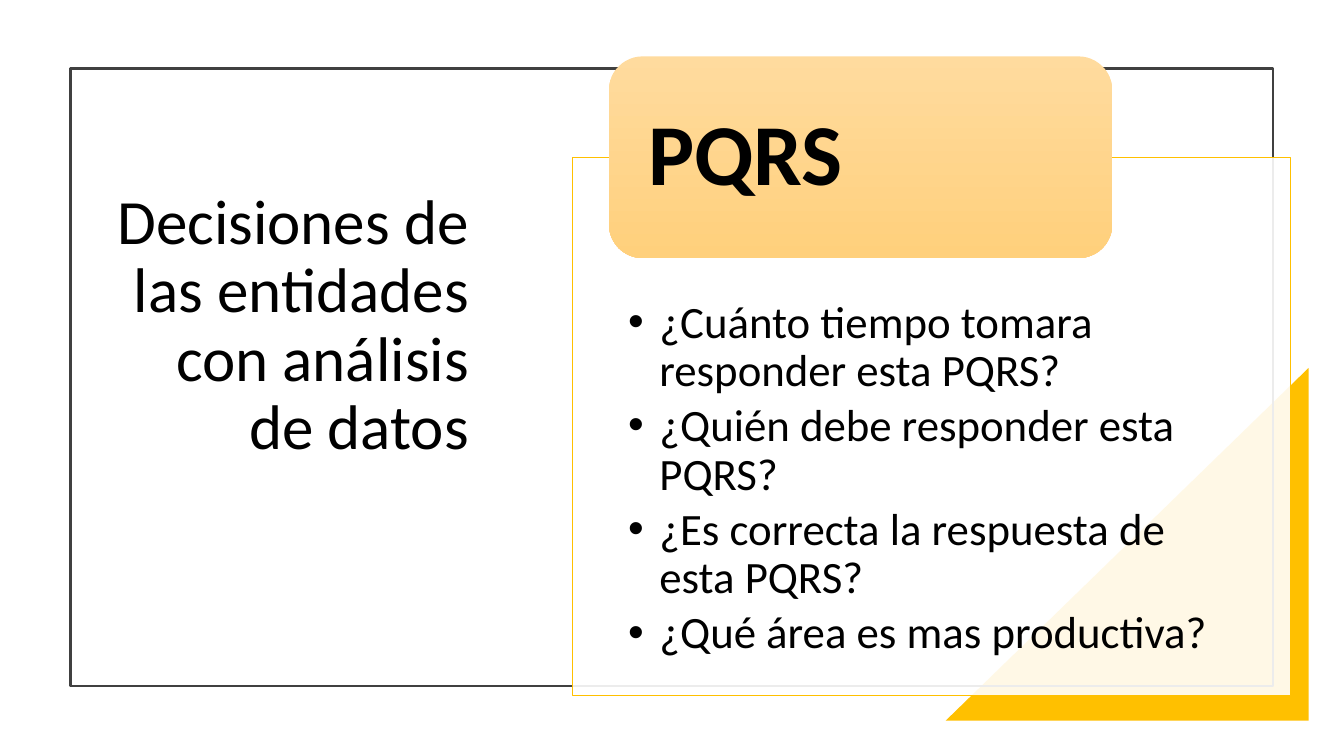
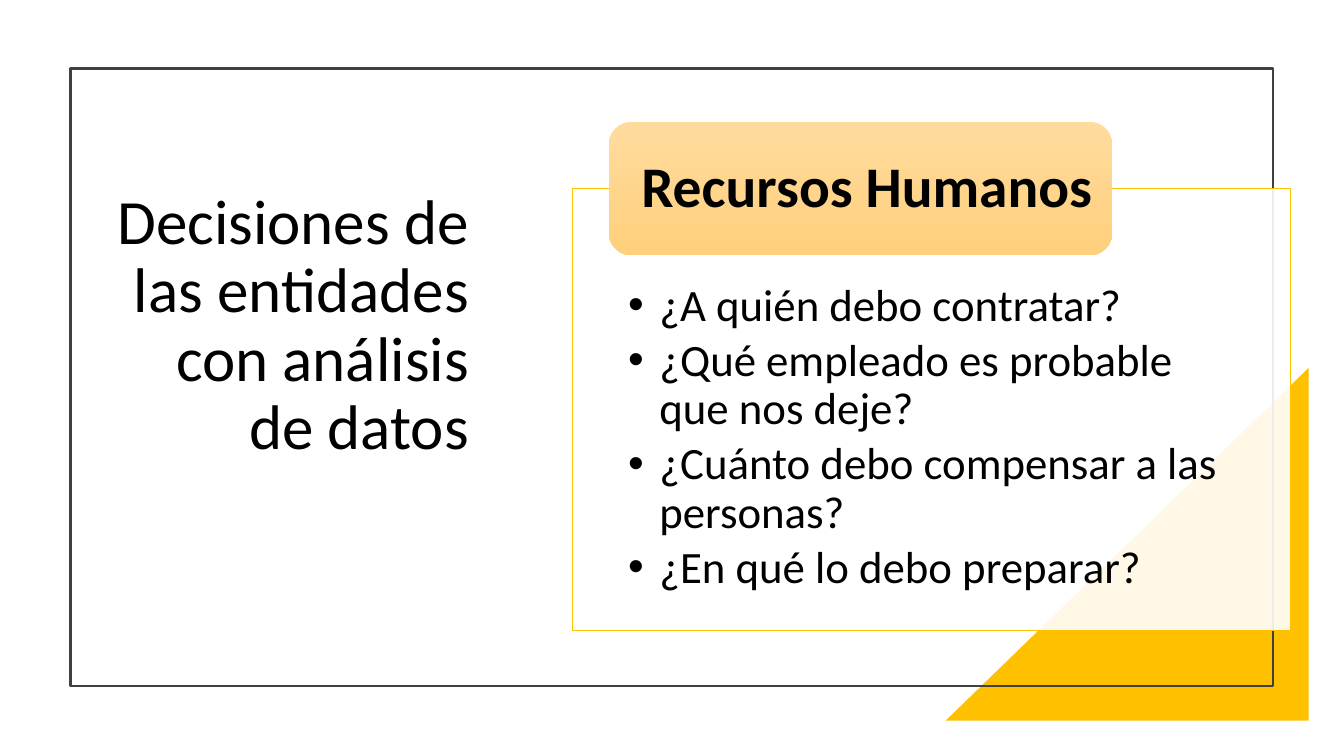
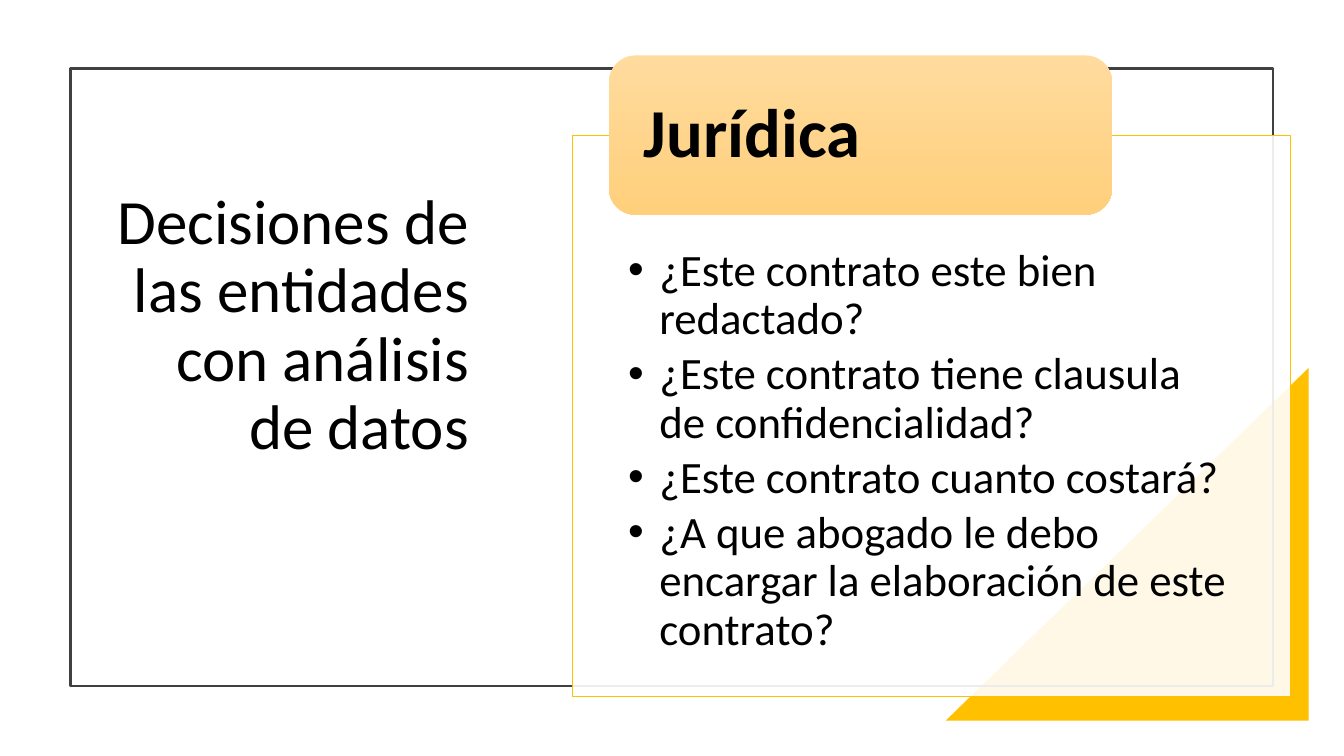
from lxml.etree import SubElement
from pptx import Presentation
from pptx.dml.color import RGBColor
from pptx.enum.shapes import MSO_SHAPE as SHAPE
from pptx.enum.text import MSO_ANCHOR as ANCHOR, MSO_AUTO_SIZE as AUTO_SIZE, PP_ALIGN as ALIGN
from pptx.oxml.ns import qn
from pptx.util import Inches, Pt

WHITE = RGBColor(0xFF, 0xFF, 0xFF)
BLACK = RGBColor(0x00, 0x00, 0x00)
CHARCOAL = RGBColor(0x40, 0x40, 0x40)
AMBER = RGBColor(0xFF, 0xC0, 0x00)
PEACH_LIGHT = RGBColor(0xFF, 0xDB, 0x9E)
PEACH_DARK = RGBColor(0xFF, 0xD0, 0x7C)
FONT = "Calibri"
HEADING = "Decisiones de las entidades con análisis de datos"

TOPICS = [
    ("PQRS", 62, 1.56, 5.34, 2.0, [
        "¿Cuánto tiempo tomara responder esta PQRS?",
        "¿Quién debe responder esta PQRS?",
        "¿Es correcta la respuesta de esta PQRS?",
        "¿Qué área es mas productiva?",
    ]),
    ("Recursos Humanos", 41, 1.87, 4.38, 1.32, [
        "¿A quién debo contratar?",
        "¿Qué empleado es probable que nos deje?",
        "¿Cuánto debo compensar a las personas?",
        "¿En qué lo debo preparar?",
    ]),
    ("Jurídica", 49, 1.34, 5.57, 1.58, [
        "¿Este contrato este bien redactado?",
        "¿Este contrato tiene clausula de confidencialidad?",
        "¿Este contrato cuanto costará?",
        "¿A que abogado le debo encargar la elaboración de este contrato?",
    ]),
]


def place(shape, left, top, width, height):
    shape.left, shape.top = Inches(left), Inches(top)
    shape.width, shape.height = Inches(width), Inches(height)


def style(paragraph, size, bold=False):
    paragraph.line_spacing = 0.9
    paragraph.space_before = Pt(0)
    for run in paragraph.runs:
        run.font.name = FONT
        run.font.size = Pt(size)
        run.font.bold = bold
        run.font.color.rgb = BLACK


prs = Presentation()
prs.slide_width, prs.slide_height = Inches(13.33), Inches(7.5)
layout = prs.slide_layouts[1]

for topic, topic_size, panel_top, panel_height, tag_height, questions in TOPICS:
    slide = prs.slides.add_slide(layout)
    shapes = slide.shapes

    corner = shapes.add_shape(SHAPE.RIGHT_TRIANGLE, Inches(9.38), Inches(3.65), Inches(3.6), Inches(3.5))
    corner.shadow.inherit = False
    corner.fill.solid()
    corner.fill.fore_color.rgb = AMBER
    corner.line.fill.background()
    corner.element.spPr.find(qn("a:xfrm")).set("flipH", "1")

    frame = shapes.add_shape(SHAPE.RECTANGLE, Inches(0.7), Inches(0.68), Inches(11.93), Inches(6.13))
    frame.shadow.inherit = False
    frame.fill.background()
    frame.line.color.rgb = CHARCOAL
    frame.line.width = Pt(1.5)

    for backdrop in (frame, corner):
        shapes.element.insert(2, backdrop.element)

    title = shapes.title
    place(title, 1.06, 1.51, 3.69, 3.46)
    title.text_frame.text = HEADING
    title.text_frame.auto_size = AUTO_SIZE.NONE
    title.text_frame.vertical_anchor = ANCHOR.MIDDLE
    title.text_frame.paragraphs[0].alignment = ALIGN.RIGHT
    style(title.text_frame.paragraphs[0], 45)

    panel = slide.placeholders[1]
    place(panel, 5.68, panel_top, 7.12, panel_height)
    panel.fill.solid()
    panel.fill.fore_color.rgb = WHITE
    panel_color = panel.element.spPr.find(qn("a:solidFill")).find(qn("a:srgbClr"))
    SubElement(panel_color, qn("a:alpha")).set("val", "90000")
    panel.line.color.rgb = AMBER
    panel.line.width = Pt(0.5)

    question_list = panel.text_frame
    question_list.text = "\n".join(questions)
    question_list.auto_size = AUTO_SIZE.NONE
    question_list.vertical_anchor = ANCHOR.TOP
    question_list.margin_left = question_list.margin_right = Inches(0.55)
    question_list.margin_top = Inches(0.705 * tag_height)
    question_list.margin_bottom = Inches(0.25)
    for question in question_list.paragraphs:
        properties = question._p.get_or_add_pPr()
        properties.set("marL", str(Inches(0.31)))
        properties.set("indent", str(-Inches(0.31)))
        SubElement(properties, qn("a:buChar")).set("char", "•")
        style(question, 32)
        question.space_after = Pt(4.8)

    tag = shapes.add_shape(SHAPE.ROUNDED_RECTANGLE, Inches(6.04), Inches(panel_top - tag_height / 2),
                           Inches(4.99), Inches(tag_height))
    tag.shadow.inherit = False
    tag.fill.gradient()
    tag.fill.gradient_angle = 270
    for stop, color in zip(tag.fill.gradient_stops, (PEACH_LIGHT, PEACH_DARK)):
        stop.color.rgb = color
    tag.line.fill.background()

    label = tag.text_frame
    label.text = topic
    label.word_wrap = True
    label.vertical_anchor = ANCHOR.MIDDLE
    label.margin_left = Inches(0.19 + 0.05 * tag_height)
    label.margin_right = Inches(0.1)
    label.margin_top = label.margin_bottom = 0
    label.paragraphs[0].alignment = ALIGN.LEFT
    style(label.paragraphs[0], topic_size, bold=True)

prs.save("out.pptx")
